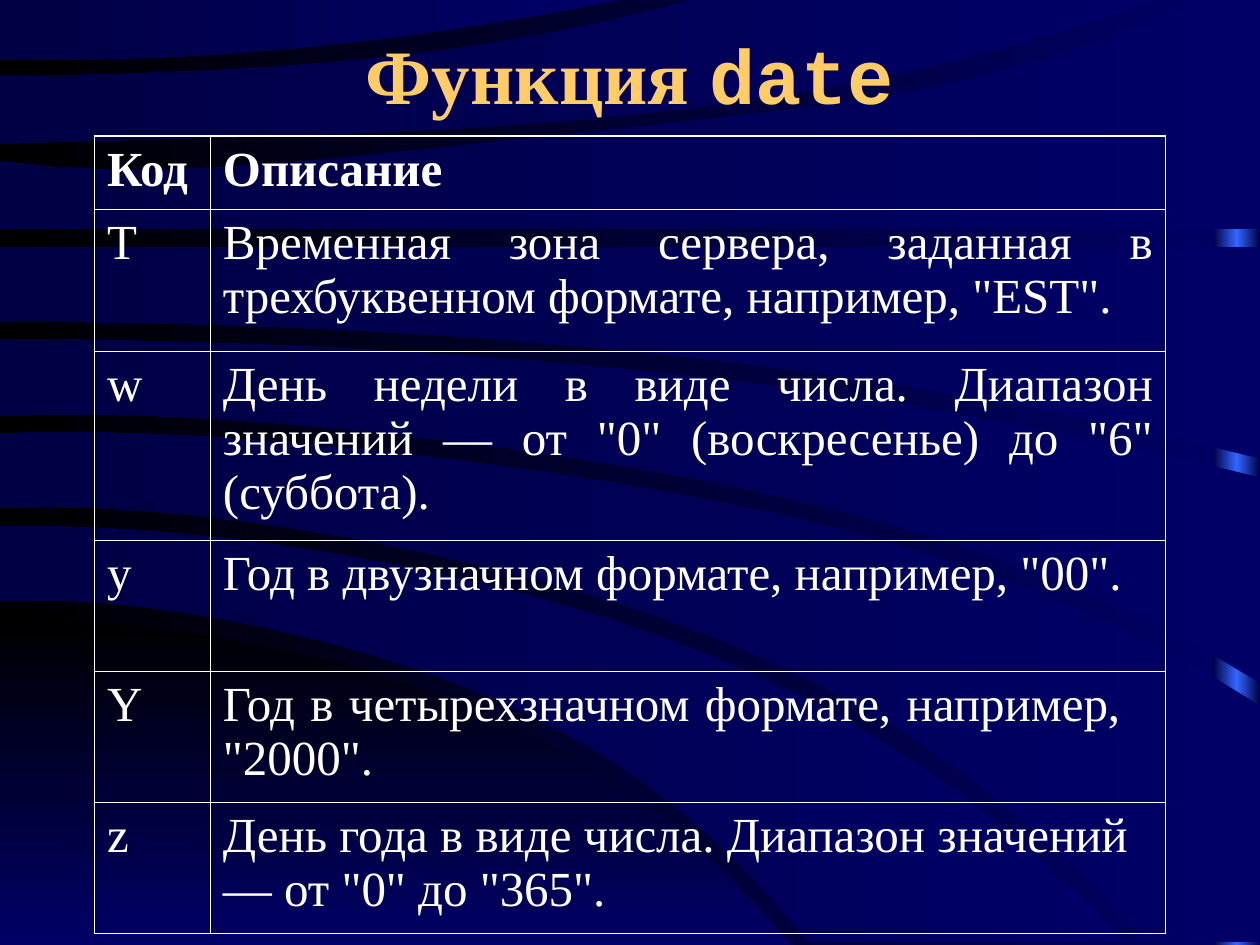
from copy import deepcopy
from math import prod
from lxml import etree
from pptx import Presentation
from pptx.dml.color import RGBColor
from pptx.enum import shapes, text
from pptx.oxml.ns import qn
from pptx.util import Inches, Pt

INK = {"navy": "000066", "deep": "000044", "black": "000000",
       "glow": "3366FF", "gold": "FFCC66", "white": "FFFFFF"}
SERIF, MONO = "Times New Roman", "Courier New"

HEAD = [("Функция ", SERIF), ("date", MONO)]
ROWS = [
    ("Код", "Описание", 0.58, 0.1),
    ("Т", 'Временная зона сервера, заданная в трехбуквенном формате, например, "EST".', 1.13, 0.1),
    ("w", 'День недели в виде числа. Диапазон значений — от "0" (воскресенье) до "6" (суббота).', 1.5, 0.1),
    ("y", 'Год в двузначном формате, например, "00".', 1.04, 0.1),
    ("Y", 'Год в четырехзначном формате, например, "2000".', 1.04, 0.36),
    ("z", 'День года в виде числа. Диапазон значений — от "0" до "365".', 1.04, 0.3),
]
COLS = [0.92, 7.58]
THIN, THICK = 0.45, 1.08
STEPS = 24

HILL = ([(0, 4.91), (1.65, 5.05), (3.27, 5.44), (4.95, 6.27), (6.28, 7.5)], [(0, 7.5)])
BANDS = [
    ([(0, 4.18), (2.49, 4.37), (4.72, 4.88), (6.87, 5.81), (8.93, 7.48)],
     [(0, 4.77), (1.85, 4.93), (3.42, 5.35), (4.92, 6.08), (6.42, 7.48)]),
    ([(0, 3.44), (3.43, 3.63), (6.19, 4.09), (8.18, 4.68), (10, 5.6)],
     [(0, 4.03), (2.67, 4.25), (5.21, 4.89), (7.2, 5.83), (9.09, 7.48)], (10, 7.48)),
    ([(0, 2.69), (3.49, 2.81), (6.62, 3.13), (10, 3.79)],
     [(0, 3.3), (3.51, 3.49), (6.1, 3.92), (8.17, 4.52), (10, 5.42)]),
    ([(0, 1.96), (10, 1.96)], [(0, 2.55), (3.32, 2.65), (6.62, 2.98), (10, 3.64)]),
    ([(0, 1.28), (3.72, 1.15), (6.84, 0.79), (8.62, 0.36), (9.43, 0)],
     [(0, 1.82), (10, 1.82)], (10, 0)),
    ([(0, 0.61), (2.33, 0.52), (4.16, 0.3), (5.48, 0)],
     [(0, 1.14), (3.41, 1.03), (6.48, 0.71), (9.17, 0)]),
    ([(0, 0)], [(0, 0.47), (1.73, 0.43), (3.46, 0.25), (4.91, 0)]),
]


def tint(name):
    return RGBColor.from_string(INK[name])


def blend(fill, root, names, angle=180):
    fill.gradient()
    fill.gradient_angle = angle
    stops = root.find(".//" + qn("a:gsLst"))
    for _ in names[2:]:
        stops.append(deepcopy(stops[-1]))
    for i, (stop, name) in enumerate(zip(fill.gradient_stops, names)):
        stop.color.rgb = tint(name)
        stop.position = i / (len(names) - 1)


def dress(shape, names, angle=180):
    blend(shape.fill, shape._element, names, angle)
    shape.line.fill.background()
    shape.shadow.inherit = False


def curve(knots):
    if len(knots) < 3:
        return knots
    end = knots[-1][0]
    pts = []
    for i in range(STEPS + 1):
        x = end * i / STEPS
        y = sum(b * prod((x - c) / (a - c) for c, _ in knots if c != a) for a, b in knots)
        pts.append((x, y))
    return pts


def draw(tree, top, base, *corner):
    ring = curve(top) + list(corner) + curve(base)[::-1]
    pts = [(Inches(x), Inches(y)) for x, y in ring]
    pen = tree.build_freeform(*pts[0])
    pen.add_line_segments(pts[1:], close=True)
    return pen.convert_to_shape()


def edge(cell, sides):
    props = cell._tc.get_or_add_tcPr()
    for i, (side, width) in enumerate(sides):
        line = etree.Element(qn("a:ln" + side), w=str(Pt(width)))
        fill = etree.SubElement(line, qn("a:solidFill"))
        etree.SubElement(fill, qn("a:srgbClr"), val=INK["white"])
        props.insert(i, line)


def style(font, size, name, color, bold):
    font.size, font.name, font.bold = Pt(size), name, bold
    font.color.rgb = tint(color)


def main():
    deck = Presentation()
    deck.slide_width, deck.slide_height = Inches(10), Inches(7.5)
    slide = deck.slides.add_slide(deck.slide_layouts[5])
    tree = slide.shapes
    blend(slide.background.fill, slide._element, ["navy", "black"])

    strip = tree.add_shape(shapes.MSO_SHAPE.RECTANGLE, Inches(9.63), 0, Inches(0.37), Inches(7.5))
    dress(strip, ["deep", "glow", "deep"])
    dress(draw(tree, *HILL), ["black", "navy"], 270)
    for band in BANDS:
        dress(draw(tree, *band), ["navy", "deep"])

    title = tree.title
    strip._element.getparent().append(title._element)
    title.left, title.top = Inches(0.75), Inches(0.17)
    title.width, title.height = Inches(8.5), Inches(0.83)
    frame = title.text_frame
    frame.auto_size = text.MSO_AUTO_SIZE.NONE
    frame.vertical_anchor = text.MSO_ANCHOR.MIDDLE
    para = frame.paragraphs[0]
    para.alignment = text.PP_ALIGN.CENTER
    for words, face in HEAD:
        run = para.add_run()
        run.text = words
        style(run.font, 44, face, "gold", True)

    grid = tree.add_table(len(ROWS), len(COLS), Inches(0.75), Inches(1.08), Inches(sum(COLS)),
                          Inches(sum(row[2] for row in ROWS))).table
    for col, width in zip(grid.columns, COLS):
        col.width = Inches(width)
    last = len(ROWS) - 1
    for r, (code, note, height, inset) in enumerate(ROWS):
        grid.rows[r].height = Inches(height)
        for c, words in enumerate((code, note)):
            cell = grid.cell(r, c)
            cell.text = words
            cell.fill.background()
            cell.margin_right = Inches(inset if c else 0.1)
            para = cell.text_frame.paragraphs[0]
            para.alignment = text.PP_ALIGN.JUSTIFY
            style(para.font, 28, SERIF, "white", r == 0)
            outer = (("L", c == 0), ("R", c == 1), ("T", r == 0), ("B", r == last))
            edge(cell, [(side, THICK if out else THIN) for side, out in outer])

    deck.save("out.pptx")


if __name__ == "__main__":
    main()
